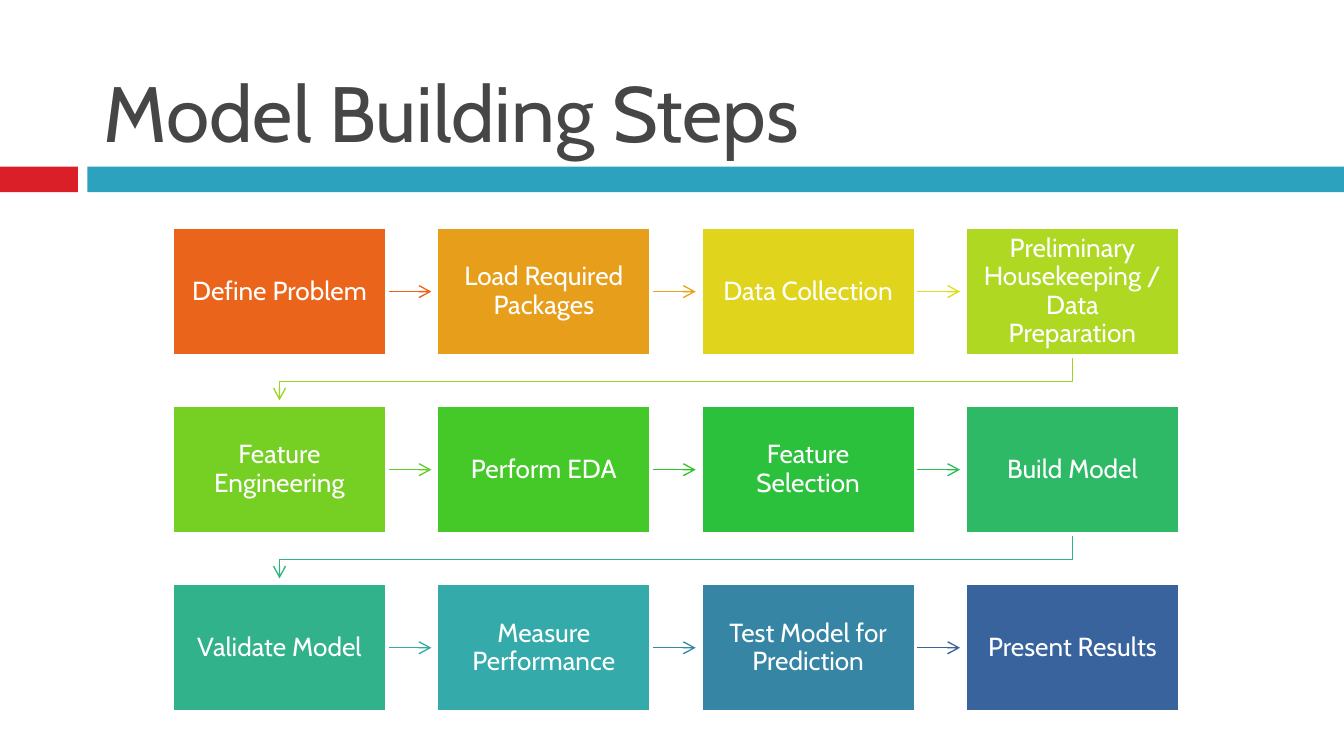
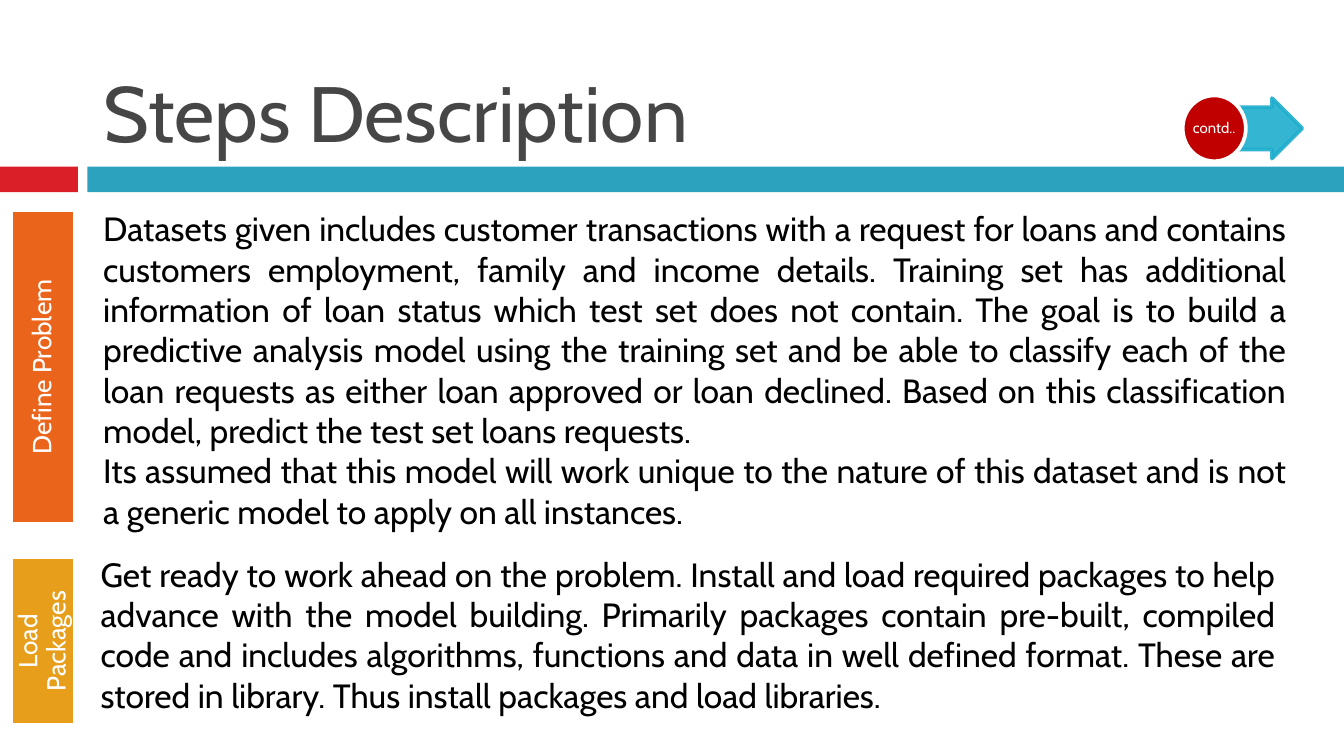
from dataclasses import dataclass

from lxml import etree
from pptx import Presentation
from pptx import util as u
from pptx.dml.color import RGBColor
from pptx.enum import shapes as sh, text as tx
from pptx.oxml.ns import qn

C = {
    "white": "FFFFFF", "black": "000000", "title": "464646",
    "red": "DA1F28", "teal": "2DA2BF", "badge": "C00000", "next": "1FAECD",
    "define": "EB641B", "define_to": "EB641B",
    "load": "E69E1B", "load_to": "E6A41B",
    "collect": "E0D41D", "collect_to": "DFDE1E",
    "prepare": "AED821", "prepare_to": "9CD622",
    "feature": "76D024", "feature_to": "62CD26",
    "explore": "45C928", "explore_to": "2FC529",
    "select": "2BC13C", "select_to": "2DBC56",
    "build": "2EB967", "build_to": "30B481",
    "validate": "31B28B", "validate_to": "33ACA4",
    "measure": "34ABAA", "measure_to": "3688A5",
    "test": "3685A4", "test_to": "39639D",
    "present": "39639D",
}
FONT = "Cabin"
COLS, WIDE, HIGH = 4, 1.6, 0.96
LEFT, TOP, STEP_X, STEP_Y = 1.28, 1.69, 5.9 / 3, 2.65 / 2
REACH = 0.33
MID = tx.MSO_ANCHOR.MIDDLE
CENTER, JUST = tx.PP_ALIGN.CENTER, tx.PP_ALIGN.JUSTIFY


@dataclass
class Step:
    key: str
    text: str


@dataclass
class Part:
    key: str
    label: str
    mid: float
    length: float
    at: tuple[float, float, float, float]
    text: list[str]


STEPS = [
    Step("define", "Define Problem"),
    Step("load", "Load Required Packages"),
    Step("collect", "Data Collection"),
    Step("prepare", "Preliminary Housekeeping / Data Preparation"),
    Step("feature", "Feature Engineering"),
    Step("explore", "Perform EDA"),
    Step("select", "Feature Selection"),
    Step("build", "Build Model"),
    Step("validate", "Validate Model"),
    Step("measure", "Measure Performance"),
    Step("test", "Test Model for Prediction"),
    Step("present", "Present Results"),
]

PARTS = [
    Part("define", "Define Problem", 2.73, 2.33, (0.67, 1.5, 9, 2.52), [
        "Datasets given includes customer transactions with a request for "
        "loans and contains customers employment, family and income details. "
        "Training set has additional information of loan status which test "
        "set does not contain. The goal is to build a predictive analysis "
        "model using the training set and be able to classify each of the "
        "loan requests as either loan approved or loan declined. Based on "
        "this classification model, predict the test set loans requests.",
        "Its assumed that this model will work unique to the nature of this "
        "dataset and is not a generic model to apply on all instances."]),
    Part("load", "Load Packages", 4.77, 1.25, (0.65, 4.07, 8.94, 1.31), [
        "Get ready to work ahead on the problem. Install and load required "
        "packages to help advance with the model building. Primarily packages "
        "contain pre-built, compiled code and includes algorithms, functions "
        "and data in well defined format. These are stored in library. Thus "
        "install packages and load libraries."]),
]


def rgb(key: str) -> RGBColor:
    return RGBColor.from_string(C[key])


def inch(*vals: float) -> list[int]:
    return [u.Inches(v) for v in vals]


def write(shape, *lines: str, size=14, color="white", align=CENTER,
          anchor=MID, inset=None, space=None, wrap=True) -> None:
    frame = shape.text_frame
    frame.word_wrap = wrap
    frame.auto_size = tx.MSO_AUTO_SIZE.NONE
    frame.vertical_anchor = anchor
    if inset is not None:
        frame.margin_left = frame.margin_right = u.Inches(inset)
        frame.margin_top = frame.margin_bottom = u.Inches(inset)
    for i, line in enumerate(lines):
        para = frame.add_paragraph() if i else frame.paragraphs[0]
        para.alignment = align
        para.line_spacing = space
        run = para.add_run()
        run.text = line
        run.font.name = FONT
        run.font.size = u.Pt(size)
        run.font.color.rgb = rgb(color)


def block(slide, kind, at: tuple, fill: str, edge: str | None = "white"):
    shape = slide.shapes.add_shape(kind, *inch(*at))
    shape.shadow.inherit = False
    shape.fill.solid()
    shape.fill.fore_color.rgb = rgb(fill)
    if edge:
        shape.line.color.rgb = rgb(edge)
        shape.line.width = u.Pt(2)
    else:
        shape.line.fill.background()
    return shape


def arrow(slide, pts: list[tuple[float, float]], color: str) -> None:
    ends = [tuple(inch(*p)) for p in pts]
    if len(ends) == 2:
        line = slide.shapes.add_connector(
            sh.MSO_CONNECTOR.STRAIGHT, *ends[0], *ends[1])
    else:
        path = slide.shapes.build_freeform(*ends[0])
        path.add_line_segments(ends[1:], close=False)
        line = path.convert_to_shape()
        line.fill.background()
        line.shadow.inherit = False
    line.line.color.rgb = rgb(color)
    line.line.width = u.Pt(0.75)
    props = line.element.spPr
    etree.SubElement(props.find(qn("a:ln")), qn("a:tailEnd"), type="arrow")
    if len(ends) == 2:
        etree.SubElement(props, qn("a:effectLst"))


def bands(slide, layout) -> None:
    for i, (x, wide, color) in enumerate([(0, 0.58, "red"),
                                          (0.65, 9.35, "teal")]):
        band = block(slide, sh.MSO_SHAPE.RECTANGLE,
                     (x, 1.24, wide, 0.19), color, None)
        band.element.nvSpPr.cNvPr.set("id", str(50 + i))
        layout.shapes.element.append(band.element)


def page(deck, title: str):
    slide = deck.slides.add_slide(deck.slide_layouts[5])
    head = slide.shapes.title
    head.left, head.top, head.width, head.height = inch(0.67, 0.13, 8.92, 1.1)
    write(head, title, size=42, color="title", align=tx.PP_ALIGN.LEFT,
          anchor=tx.MSO_ANCHOR.BOTTOM)
    return slide


def flow(slide) -> None:
    for i, step in enumerate(STEPS):
        row, col = divmod(i, COLS)
        x, y = LEFT + col * STEP_X, TOP + row * STEP_Y
        mid, low = x + WIDE / 2, y + HIGH
        if col < COLS - 1:
            pts = [(x + WIDE, y + HIGH / 2), (x + WIDE + REACH, y + HIGH / 2)]
        else:
            first = LEFT + WIDE / 2
            pts = [(mid, low), (mid, low + 0.19),
                   (first, low + 0.19), (first, low + REACH)]
        if i < len(STEPS) - 1:
            arrow(slide, pts, step.key + "_to")
        box = block(slide, sh.MSO_SHAPE.RECTANGLE, (x, y, WIDE, HIGH), step.key)
        write(box, step.text, inset=0.11, space=0.9)


def detail(slide, part: Part) -> None:
    deep = 0.48
    tab = block(slide, sh.MSO_SHAPE.RECTANGLE,
                (0.32 - part.length / 2, part.mid - deep / 2,
                 part.length, deep), part.key)
    tab.rotation = 270
    write(tab, part.label, inset=0.11, space=0.9)
    body = slide.shapes.add_textbox(*inch(*part.at))
    write(body, *part.text, size=18, color="black", align=JUST,
          anchor=tx.MSO_ANCHOR.TOP)


def badge(slide) -> None:
    point = block(slide, sh.MSO_SHAPE.RIGHT_ARROW,
                  (9.03, 0.73, 0.66, 0.45), "next", "next")
    point.adjustments[0] = 0.7
    point.adjustments[1] = 0.5
    for tone in point.element.spPr.iter(qn("a:srgbClr")):
        etree.SubElement(tone, qn("a:alpha"), val="90000")
    disc = block(slide, sh.MSO_SHAPE.OVAL, (8.8, 0.71, 0.47, 0.49), "badge")
    write(disc, "contd..", size=8, inset=0.01, space=0.9, wrap=False)


def main() -> None:
    deck = Presentation()
    deck.slide_width = u.Inches(10)
    deck.slide_height = deck.slide_width * 9 // 16
    slide = page(deck, "Model Building Steps")
    bands(slide, slide.slide_layout)
    flow(slide)
    slide = page(deck, "Steps Description")
    for part in PARTS:
        detail(slide, part)
    badge(slide)
    deck.save("out.pptx")


main()
